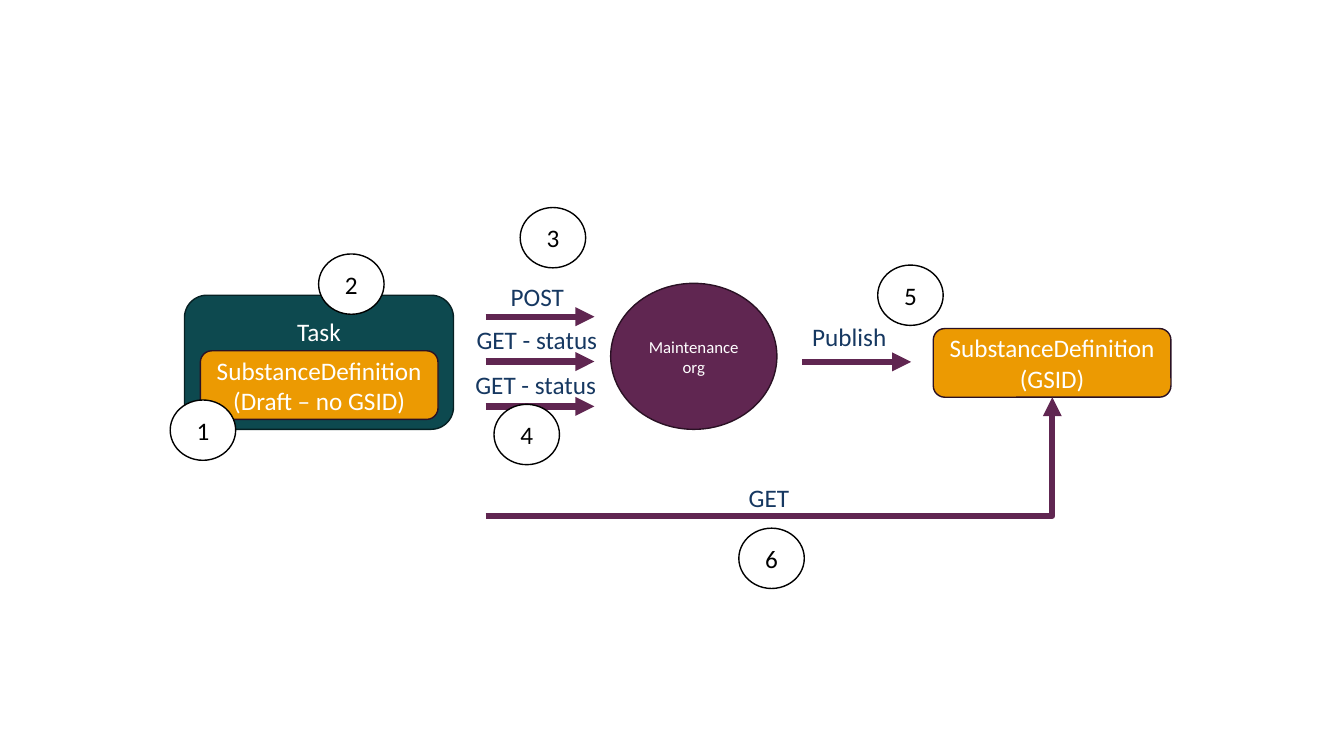
from dataclasses import dataclass

import lxml.etree
import pptx
import pptx.dml.color
import pptx.enum.shapes
import pptx.enum.text
import pptx.oxml.ns
import pptx.util

Cm = pptx.util.Cm
Pt = pptx.util.Pt
Shape = pptx.enum.shapes.MSO_SHAPE
Connector = pptx.enum.shapes.MSO_CONNECTOR
Align = pptx.enum.text.PP_ALIGN
Anchor = pptx.enum.text.MSO_ANCHOR

TEAL, TEAL_EDGE = "0D494F", "062023"
PLUM, PLUM_EDGE = "602651", "2A1124"
ORANGE, NAVY, WHITE, BLACK = "EC9A02", "163861", "FFFFFF", "000000"


@dataclass
class Node:
    text: str
    left: float
    top: float
    width: float
    height: float
    fill: str
    edge: str = PLUM_EDGE
    kind: Shape = Shape.ROUNDED_RECTANGLE
    size: int = 18
    color: str = WHITE
    anchor: Anchor = Anchor.MIDDLE
    inset_top: float = 0.13


@dataclass
class Arrow:
    start: tuple[float, float]
    end: tuple[float, float]
    bent: bool = False


@dataclass
class Label:
    text: str
    left: float
    top: float
    width: float


def rgb(value: str) -> pptx.dml.color.RGBColor:
    return pptx.dml.color.RGBColor.from_string(value)


def write(box, text: str, *, size: int = 18, color: str = BLACK,
          align: Align = Align.LEFT, anchor: Anchor = Anchor.TOP) -> None:
    frame = box.text_frame
    frame.word_wrap = True
    frame.vertical_anchor = anchor
    for index, line in enumerate(text.split("\n")):
        para = frame.add_paragraph() if index else frame.paragraphs[0]
        para.alignment = align
        span = para.add_run()
        span.text = line
        span.font.name = "Calibri"
        span.font.size = Pt(size)
        span.font.color.rgb = rgb(color)


def draw_node(page, node: Node) -> None:
    box = page.shapes.add_shape(node.kind, Cm(node.left), Cm(node.top),
                                Cm(node.width), Cm(node.height))
    box.shadow.inherit = False
    box.fill.solid()
    box.fill.fore_color.rgb = rgb(node.fill)
    box.line.color.rgb = rgb(node.edge)
    box.line.width = Pt(1)
    box.text_frame.margin_top = Cm(node.inset_top)
    write(box, node.text, size=node.size, color=node.color,
          align=Align.CENTER, anchor=node.anchor)


def draw_arrow(page, arrow: Arrow) -> None:
    kind = Connector.ELBOW if arrow.bent else Connector.STRAIGHT
    points = [Cm(value) for value in arrow.start + arrow.end]
    line = page.shapes.add_connector(kind, *points)
    line.line.color.rgb = rgb(PLUM)
    line.line.width = Pt(4.5)
    qn = pptx.oxml.ns.qn
    properties = line._element.spPr
    if arrow.bent:  # a single corner
        properties.find(qn("a:prstGeom")).set("prst", "bentConnector2")
    head = lxml.etree.SubElement(properties.find(qn("a:ln")), qn("a:tailEnd"))
    head.set("type", "triangle")
    lxml.etree.SubElement(properties, qn("a:effectLst"))


def draw_label(page, label: Label) -> None:
    box = page.shapes.add_textbox(Cm(label.left), Cm(label.top),
                                  Cm(label.width), Cm(1.02))
    write(box, label.text, color=NAVY)


REQUEST_LEFT, ARROW_LENGTH = 12.24, 2.74
PUBLISH_LEFT, PUBLISH_TOP = 20.22, 9.12

NODES = [
    Node("Task", 4.65, 7.44, 6.78, 3.38, TEAL, TEAL_EDGE,
         anchor=Anchor.TOP, inset_top=0.37),
    Node("SubstanceDefinition\n(Draft – no GSID)", 5.05, 8.84, 5.99, 1.73, ORANGE),
    Node("Maintenance org", 15.39, 7.14, 4.19, 3.68, PLUM,
         kind=Shape.OVAL, size=12),
    Node("SubstanceDefinition\n(GSID)", 23.52, 8.28, 5.99, 1.73, ORANGE),
]

# Three evenly spaced requests, the publish step and the final lookup
ARROWS = [
    Arrow((REQUEST_LEFT, top), (REQUEST_LEFT + ARROW_LENGTH, top))
    for top in (7.98 + 1.13 * row for row in range(3))
] + [
    Arrow((PUBLISH_LEFT, PUBLISH_TOP), (PUBLISH_LEFT + ARROW_LENGTH, PUBLISH_TOP)),
    Arrow((REQUEST_LEFT, 13), (26.52, 10.01), bent=True),
]

LABELS = [
    Label("POST", 12.62, 6.96, 1.91),
    Label("GET", 18.62, 12.04, 1.91),
    Label("GET - status", 11.76, 8.05, 3.96),
    Label("GET - status", 11.73, 9.19, 3.96),
    Label("Publish", 20.22, 7.98, 2.49),
]

# Top left corners of the step circles, in step order
STEPS = [(4.29, 10.08), (8.03, 6.4), (13.11, 5.23),
         (12.45, 10.19), (22.12, 6.68), (18.62, 13.31)]


def main() -> None:
    deck = pptx.Presentation()
    deck.slide_width, deck.slide_height = Cm(33.87), Cm(19.05)
    page = deck.slides.add_slide(deck.slide_layouts[6])

    # Flow
    for node in NODES:
        draw_node(page, node)
    for arrow in ARROWS:
        draw_arrow(page, arrow)
    for label in LABELS:
        draw_label(page, label)

    # Numbered steps
    for number, (left, top) in enumerate(STEPS, start=1):
        draw_node(page, Node(str(number), left, top, 1.65, 1.52, WHITE, BLACK,
                             kind=Shape.OVAL, color=BLACK))

    deck.save("out.pptx")


if __name__ == "__main__":
    main()
